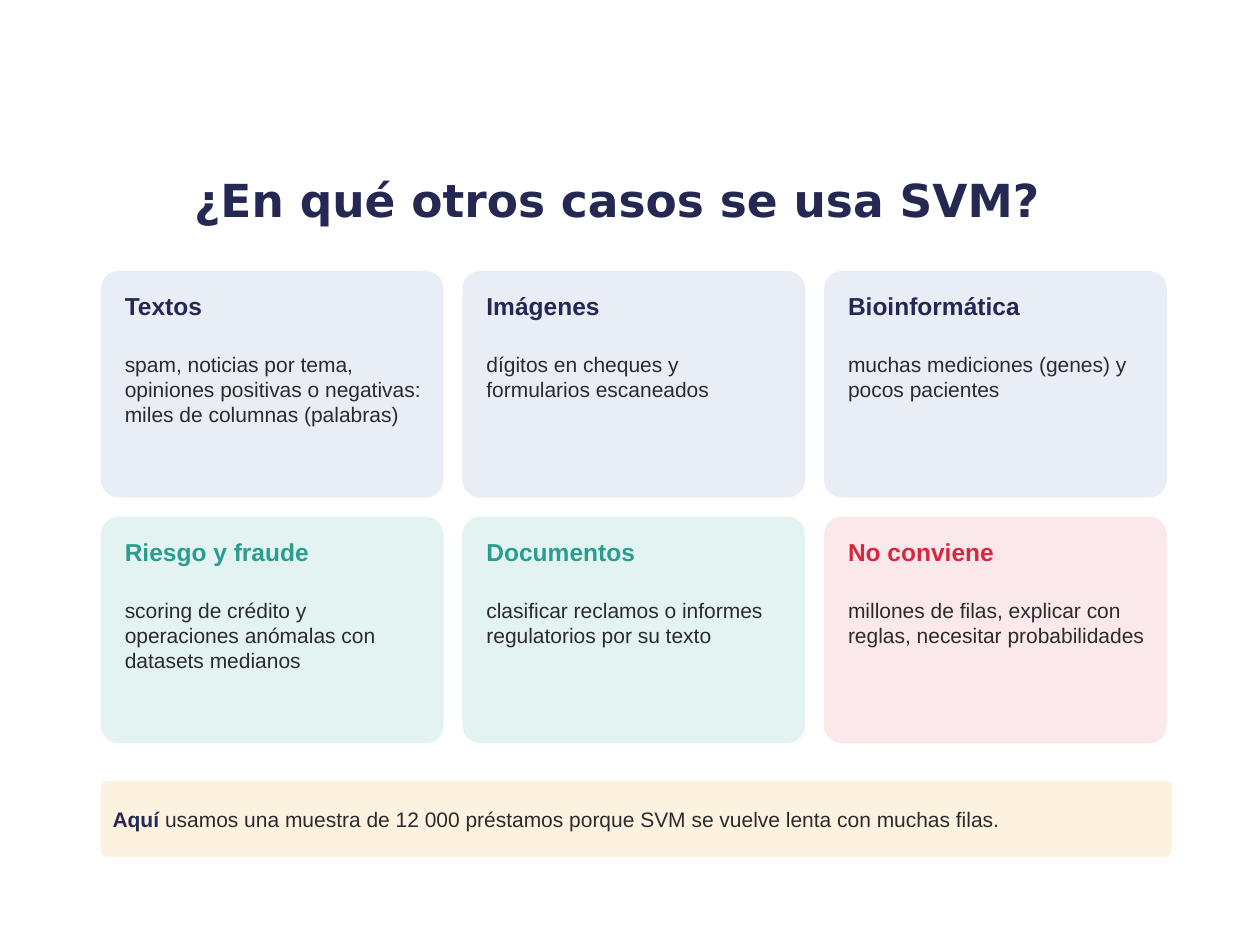
from pptx import Presentation
from pptx.dml.color import RGBColor
from pptx.enum.shapes import MSO_SHAPE as Shape
from pptx.enum.text import MSO_ANCHOR as Anchor, MSO_AUTO_SIZE as AutoSize, PP_ALIGN as Align
from pptx.util import Pt

# Content
TITLE = "¿En qué otros casos se usa SVM?"
CARDS = [
    ("Textos", "spam, noticias por tema, opiniones positivas o negativas: "
               "miles de columnas (palabras)", "neutral"),
    ("Imágenes", "dígitos en cheques y formularios escaneados", "neutral"),
    ("Bioinformática", "muchas mediciones (genes) y pocos pacientes", "neutral"),
    ("Riesgo y fraude", "scoring de crédito y operaciones anómalas con datasets medianos",
     "positive"),
    ("Documentos", "clasificar reclamos o informes regulatorios por su texto", "positive"),
    ("No conviene", "millones de filas, explicar con reglas, necesitar probabilidades",
     "negative"),
]
CALLOUT = [
    ("Aquí ", "strong"),
    ("usamos una muestra de 12 000 préstamos porque SVM se vuelve lenta con muchas filas.",
     "body"),
]

# Theme: text styles as (font, size, bold, colour), card kinds as (fill, heading colour)
THEME = {
    "text": {
        "title": ("DejaVu Sans", 26, True, "242852"),
        "heading": ("Arial", 14, True, "242852"),
        "strong": ("Arial", 12, True, "242852"),
        "body": ("Arial", 12, False, "2B2B2B"),
    },
    "card": {
        "neutral": ("E8EDF6", "242852"),
        "positive": ("E3F3F1", "2A9D8F"),
        "negative": ("FBE8EA", "D7263D"),
    },
    "callout": "FDF2E0",
}

# Layout in points
COLUMNS = 3
GRID_LEFT, GRID_TOP = 57.6, 154.8
CARD_WIDTH, CARD_HEIGHT, GAP = 195.84, 129.6, 10.8
TEXT_LEFT, TEXT_WIDTH = 10.8, 176.4
HEADING_TOP, HEADING_HEIGHT = 8.64, 32.4
BODY_TOP, BODY_HEIGHT = 43.2, 82.8


def points(*values):
    return [Pt(value) for value in values]


def add_run(paragraph, text, style, color=None):
    name, size, bold, default_color = THEME["text"][style]
    run = paragraph.add_run()
    run.text = text
    for attribute, value in {"name": name, "size": Pt(size), "bold": bold}.items():
        setattr(run.font, attribute, value)
    run.font.color.rgb = RGBColor.from_string(color or default_color)


def format_frame(frame, inset, **options):
    margins = {f"margin_{side}": Pt(inset) for side in ("left", "top", "right", "bottom")}
    for attribute, value in {"word_wrap": True, **margins, **options}.items():
        setattr(frame, attribute, value)


def add_panel(slide, box, fill):
    panel = slide.shapes.add_shape(Shape.ROUNDED_RECTANGLE, *points(*box))
    panel.adjustments[0] = 0.08
    panel.shadow.inherit = False
    panel.fill.solid()
    panel.fill.fore_color.rgb = RGBColor.from_string(fill)
    panel.line.fill.background()
    return panel


def add_text(slide, box, text, style, color=None):
    frame = slide.shapes.add_textbox(*points(*box)).text_frame
    format_frame(frame, 2.88, auto_size=AutoSize.SHAPE_TO_FIT_TEXT)
    paragraph = frame.paragraphs[0]
    paragraph.space_after = Pt(4)
    add_run(paragraph, text, style, color)


def add_title(slide):
    title = slide.shapes.title
    title.left, title.top, title.width, title.height = points(54, 84.96, 597.6, 57.6)
    title.text_frame.vertical_anchor = Anchor.MIDDLE
    paragraph = title.text_frame.paragraphs[0]
    paragraph.alignment = Align.CENTER
    add_run(paragraph, TITLE, "title")


def add_cards(slide):
    for index, (heading, body, kind) in enumerate(CARDS):
        row, column = divmod(index, COLUMNS)
        left = GRID_LEFT + column * (CARD_WIDTH + GAP)
        top = GRID_TOP + row * (CARD_HEIGHT + GAP)
        fill, heading_color = THEME["card"][kind]
        add_panel(slide, (left, top, CARD_WIDTH, CARD_HEIGHT), fill)
        text_left = left + TEXT_LEFT
        add_text(slide, (text_left, top + HEADING_TOP, TEXT_WIDTH, HEADING_HEIGHT),
                 heading, "heading", heading_color)
        add_text(slide, (text_left, top + BODY_TOP, TEXT_WIDTH, BODY_HEIGHT), body, "body")


def add_callout(slide):
    panel = add_panel(slide, (GRID_LEFT, 446.4, 612, 43.2), THEME["callout"])
    format_frame(panel.text_frame, 5.76, vertical_anchor=Anchor.MIDDLE)
    paragraph = panel.text_frame.paragraphs[0]
    paragraph.alignment = Align.LEFT
    paragraph.space_after = Pt(3)
    for text, style in CALLOUT:
        add_run(paragraph, text, style)


def main():
    presentation = Presentation()
    presentation.slide_width, presentation.slide_height = points(720, 540)
    slide = presentation.slides.add_slide(presentation.slide_layouts.get_by_name("Title Only"))
    add_title(slide)
    add_cards(slide)
    add_callout(slide)
    presentation.save("out.pptx")


if __name__ == "__main__":
    main()
